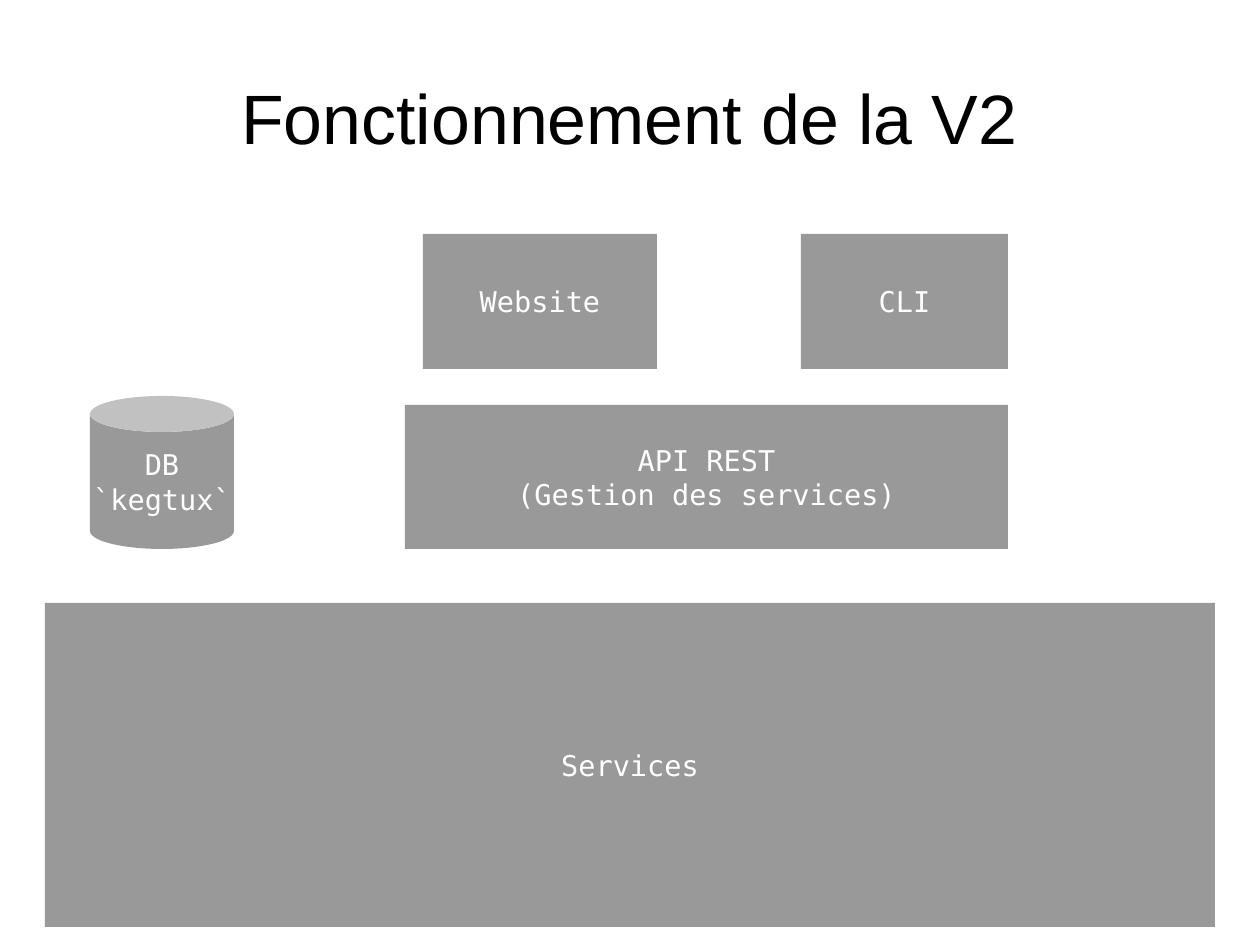
from pptx import Presentation
from pptx.dml.color import RGBColor
from pptx.enum.shapes import MSO_SHAPE
from pptx.enum.text import MSO_ANCHOR, PP_ALIGN
from pptx.util import Mm, Pt

RECT, CAN = MSO_SHAPE.RECTANGLE, MSO_SHAPE.CAN
MIDDLE, CENTER = MSO_ANCHOR.MIDDLE, PP_ALIGN.CENTER
GREY = RGBColor(0x99, 0x99, 0x99)
WHITE = RGBColor(0xFF, 0xFF, 0xFF)
BLACK = RGBColor(0x00, 0x00, 0x00)

# Content: places are (column, row, columns wide, rows high)
UNIT = Mm(2)
COLS, ROWS = 140, 105
TITLE = "Fonctionnement de la V2"
TITLE_BOX = (7, 4.2, 126, 17.5)
PARTS = [
    (CAN, "DB\n`kegtux`", (10, 44, 16, 17)),
    (RECT, "API REST\n(Gestion des services)", (45, 45, 67, 16)),
    (RECT, "Website", (47, 26, 26, 15)),
    (RECT, "CLI", (89, 26, 23, 15)),
    (RECT, "Services", (5, 67, 130, 36)),
]


def place(box):
    return [int(n * UNIT) for n in box]


def write(frame, text, font, size, color):
    frame.text = text
    frame.vertical_anchor = MIDDLE
    for para in frame.paragraphs:
        para.alignment = CENTER
        for run in para.runs:
            run.font.name = font
            run.font.size = Pt(size)
            run.font.color.rgb = color


def main():
    deck = Presentation()
    deck.slide_width, deck.slide_height = COLS * UNIT, ROWS * UNIT
    slide = deck.slides.add_slide(deck.slide_layouts[5])

    # Title
    title = slide.shapes.title
    title.left, title.top, title.width, title.height = place(TITLE_BOX)
    frame = title.text_frame
    frame.margin_left = frame.margin_right = 0
    frame.margin_top = frame.margin_bottom = 0
    write(frame, TITLE, "Arial", 44, BLACK)

    # Blocks of the system
    for kind, text, box in PARTS:
        part = slide.shapes.add_shape(kind, *place(box))
        part.shadow.inherit = False
        part.fill.solid()
        part.fill.fore_color.rgb = GREY
        part.line.fill.background()
        part.text_frame.word_wrap = False
        write(part.text_frame, text, "DejaVu Sans Mono", 18, WHITE)

    deck.save("out.pptx")


if __name__ == "__main__":
    main()
